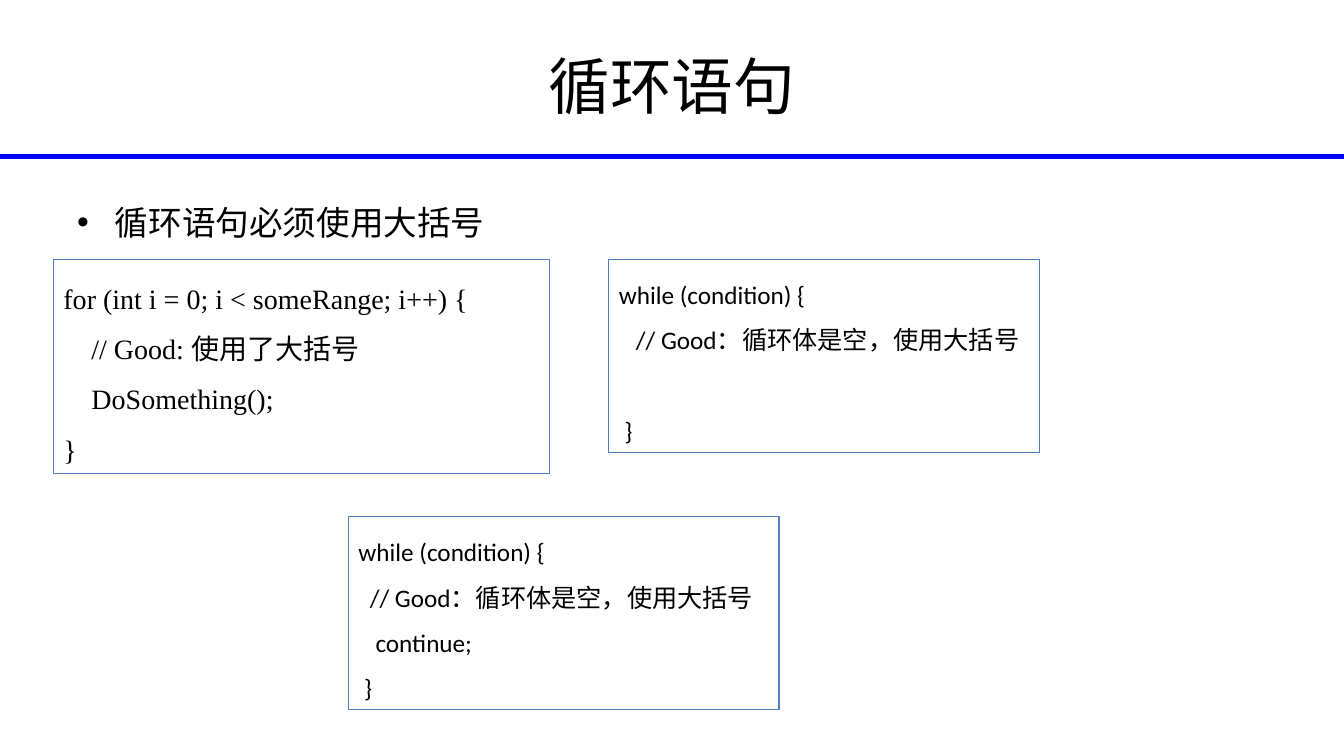
from lxml.etree import SubElement
from pptx import Presentation
from pptx.dml.color import RGBColor
from pptx.enum.shapes import MSO_CONNECTOR as Connector
from pptx.enum.text import MSO_ANCHOR as Anchor, MSO_AUTO_SIZE as AutoSize, PP_ALIGN as Align
from pptx.oxml.ns import qn
from pptx.util import Emu, Pt

BLACK = RGBColor(0x00, 0x00, 0x00)
RULE_BLUE = RGBColor(0x00, 0x00, 0xFF)
FRAME_BLUE = RGBColor(0x4F, 0x81, 0xBD)

EMU_PER_PX = 9525
WIDTH, HEIGHT = 1280, 720
MARGIN = 64
CONTENT_WIDTH = WIDTH - 2 * MARGIN
CODE_TOP = 247
WHILE_SIZE = (410, 184)

FOR_LOOP = """for (int i = 0; i < someRange; i++) {
    // Good: 使用了大括号
    DoSomething();
}"""
EMPTY_WHILE = """while (condition) {
   // Good：循环体是空，使用大括号

 }"""
CONTINUE_WHILE = """while (condition) {
  // Good：循环体是空，使用大括号
   continue;
 }"""


def px(*lengths):
    return [Emu(length * EMU_PER_PX) for length in lengths]


class SlideBuilder:
    LATIN = "Calibri"
    CHINESE = "Noto Sans CJK SC"
    LINE_SPACING = 1.5

    def __init__(self, slide):
        self.slide = slide

    def add_text(self, paragraph, text, size, font):
        """Add one run, or only set the height of an empty code line."""
        if not text:
            end = SubElement(paragraph._p, qn("a:endParaRPr"))
            end.set("sz", str(size * 100))
            return
        run = paragraph.add_run()
        run.text = text
        run.font.size = Pt(size)
        run.font.color.rgb = BLACK
        run.font.name = font
        east_asian = SubElement(run.font._element, qn("a:ea"))
        east_asian.set("typeface", self.CHINESE)

    def text_box(self, left, top, width, height):
        box = self.slide.shapes.add_textbox(*px(left, top, width, height))
        box.text_frame.word_wrap = True
        return box

    def rule(self, y):
        line = self.slide.shapes.add_connector(Connector.STRAIGHT, *px(0, y, WIDTH, y))
        line.line.color.rgb = RULE_BLUE
        line.line.width = Pt(3)
        SubElement(line._element.spPr, qn("a:effectLst"))

    def title(self, text, top, height):
        frame = self.text_box(MARGIN, top, CONTENT_WIDTH, height).text_frame
        frame.vertical_anchor = Anchor.MIDDLE
        heading = frame.paragraphs[0]
        heading.alignment = Align.CENTER
        self.add_text(heading, text, 44, self.LATIN)

    def bullet(self, text, top, height):
        frame = self.text_box(MARGIN, top, CONTENT_WIDTH, height).text_frame
        point = frame.paragraphs[0]
        point.line_spacing = self.LINE_SPACING
        properties = point._p.get_or_add_pPr()
        indent, = px(36)
        properties.set("marL", str(indent))
        properties.set("indent", str(-indent))
        SubElement(properties, qn("a:buFont")).set("typeface", "Arial")
        SubElement(properties, qn("a:buChar")).set("char", "•")
        self.add_text(point, text, 24, self.CHINESE)

    def code(self, source, left, top, width, height, size=18, font=LATIN):
        box = self.text_box(left, top, width, height)
        box.fill.background()
        box.line.color.rgb = FRAME_BLUE
        box.line.width = Pt(0.75)
        frame = box.text_frame
        frame.auto_size = AutoSize.SHAPE_TO_FIT_TEXT
        for number, text in enumerate(source.split("\n")):
            paragraph = frame.add_paragraph() if number else frame.paragraphs[0]
            paragraph.line_spacing = self.LINE_SPACING
            self.add_text(paragraph, text, size, font)


def main():
    deck = Presentation()
    deck.slide_width, deck.slide_height = px(WIDTH, HEIGHT)
    builder = SlideBuilder(deck.slides.add_slide(deck.slide_layouts[6]))
    builder.rule(149)
    builder.title("循环语句", 21, 120)
    builder.bullet("循环语句必须使用大括号", 168, 85)
    builder.code(FOR_LOOP, 51, CODE_TOP, 472, 204, size=20, font="Times New Roman")
    builder.code(EMPTY_WHILE, 580, CODE_TOP, *WHILE_SIZE)
    builder.code(CONTINUE_WHILE, 332, 492, *WHILE_SIZE)
    deck.save("out.pptx")


if __name__ == "__main__":
    main()
